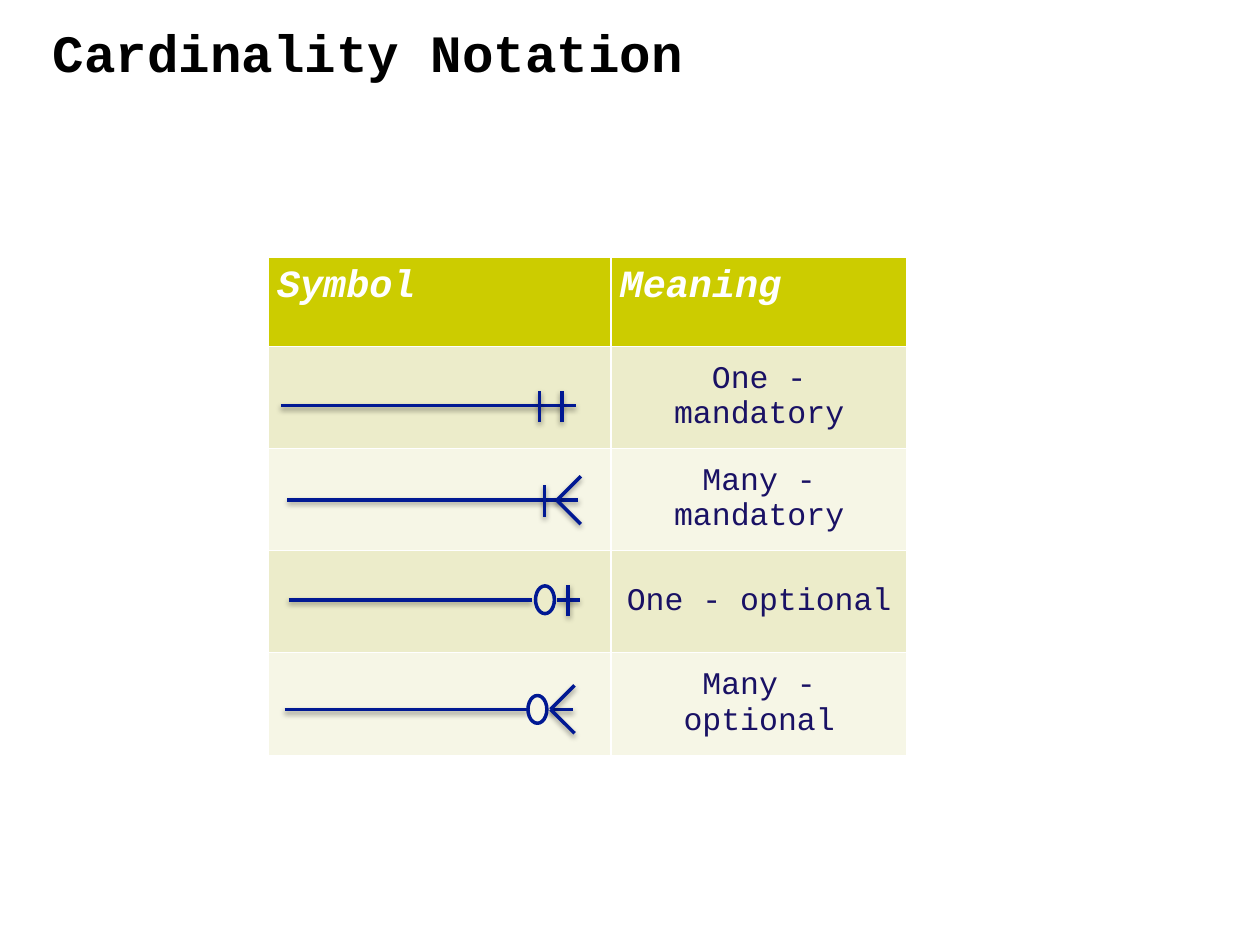
from pptx import Presentation
from pptx.dml.color import RGBColor
from pptx.enum.shapes import MSO_CONNECTOR as Link, MSO_SHAPE as Form
from pptx.enum.text import MSO_ANCHOR as Anchor, PP_ALIGN as Align
from pptx.oxml import parse_xml
from pptx.oxml.ns import nsdecls
from pptx.util import Inches, Pt

BLACK = RGBColor(0x00, 0x00, 0x00)
WHITE = RGBColor(0xFF, 0xFF, 0xFF)
NAVY = RGBColor(0x01, 0x19, 0x93)
INK = RGBColor(0x19, 0x11, 0x64)
OLIVE = RGBColor(0xCC, 0xCC, 0x00)
BANDS = RGBColor(0xEC, 0xEC, 0xCA), RGBColor(0xF6, 0xF6, 0xE6)

SHADOW = (
    f'<a:effectLst {nsdecls("a")}><a:outerShdw blurRad="38100" dist="20320" '
    'dir="5400000" rotWithShape="0"><a:srgbClr val="000000">'
    '<a:alpha val="38000"/></a:srgbClr></a:outerShdw></a:effectLst>'
)


class Board:
    face = "Courier New"
    width = Pt(2)
    pad = Inches(0.07)

    def __init__(self, deck):
        self.slide = deck.slides.add_slide(deck.slide_layouts[5])
        self.shapes = self.slide.shapes

    def style(self, para, size, color, bold=False, italic=False):
        font = para.font
        font.name, font.size = self.face, Pt(size)
        font.bold, font.italic = bold, italic
        font.color.rgb = color

    def title(self, text, x, y, w, h):
        box = self.shapes.title
        box.left, box.top = Inches(x), Inches(y)
        box.width, box.height = Inches(w), Inches(h)
        frame = box.text_frame
        frame.text = text
        frame.word_wrap = True
        frame.vertical_anchor = Anchor.TOP
        frame.margin_left = frame.margin_right = 0
        frame.margin_top = frame.margin_bottom = 0
        para = frame.paragraphs[0]
        para.alignment = Align.LEFT
        self.style(para, 30, BLACK, bold=True)

    def table(self, rows, x, y, widths, heights):
        frame = self.shapes.add_table(
            len(rows), len(widths), Inches(x), Inches(y),
            Inches(sum(widths)), Inches(sum(heights)))
        grid = frame.table
        for col, width in zip(grid.columns, widths):
            col.width = Inches(width)
        for row, height in zip(grid.rows, heights):
            row.height = Inches(height)
        for i, row in enumerate(rows):
            for j, text in enumerate(row):
                self.cell(grid.cell(i, j), text, i)

    def cell(self, cell, text, row):
        cell.margin_left = cell.margin_right = self.pad
        cell.margin_top = cell.margin_bottom = self.pad
        props = cell._tc.get_or_add_tcPr()
        for side in ("lnL", "lnR", "lnT", "lnB"):
            props.append(parse_xml(
                f'<a:{side} {nsdecls("a")} w="12700"><a:solidFill>'
                f'<a:srgbClr val="{WHITE}"/></a:solidFill></a:{side}>'))
        cell.fill.solid()
        cell.fill.fore_color.rgb = BANDS[(row - 1) % 2] if row else OLIVE
        if not text:
            return
        cell.text = text
        para = cell.text_frame.paragraphs[0]
        if row:
            cell.vertical_anchor = Anchor.MIDDLE
            para.alignment = Align.CENTER
            self.style(para, 18, INK)
        else:
            para.space_before = Pt(5)
            self.style(para, 22, WHITE, bold=True, italic=True)

    def line(self, x1, y1, x2, y2):
        line = self.shapes.add_connector(
            Link.STRAIGHT, Inches(x1), Inches(y1), Inches(x2), Inches(y2))
        line.line.color.rgb = NAVY
        line.line.width = self.width
        line._element.spPr.append(parse_xml(SHADOW))

    def bar(self, x, y):
        self.line(x, y + 0.13, x, y - 0.12)

    def fork(self, x, y):
        self.line(x, y, x + 0.19, y - 0.19)
        self.line(x + 0.19, y + 0.19, x, y)

    def ring(self, x, y):
        ring = self.shapes.add_shape(
            Form.OVAL, Inches(x), Inches(y - 0.11), Inches(0.15), Inches(0.22))
        ring.shadow.inherit = False
        ring.fill.background()
        ring.line.color.rgb = NAVY
        ring.line.width = self.width


deck = Presentation()
deck.slide_width, deck.slide_height = Inches(10), Inches(7.5)
board = Board(deck)
board.title("Cardinality Notation", 0.42, 0.16, 8.48, 0.5)
board.table(
    [("Symbol", "Meaning"), ("", "One - mandatory"), ("", "Many - mandatory"),
     ("", "One - optional"), ("", "Many - optional")],
    2.13, 2.04, (2.72, 2.35), (0.71, 0.81, 0.81, 0.81, 0.82))

symbols = [
    (3.22, [(2.23, 4.57)], [(board.bar, 4.28), (board.bar, 4.46)]),
    (3.97, [(2.28, 4.59)], [(board.bar, 4.32), (board.fork, 4.42)]),
    (4.76, [(2.29, 4.22), (4.42, 4.6)], [(board.ring, 4.25), (board.bar, 4.51)]),
    (5.63, [(2.26, 4.19), (4.37, 4.55)], [(board.ring, 4.19), (board.fork, 4.37)]),
]
for y, spans, marks in symbols:
    for start, end in spans:
        board.line(start, y, end, y)
    for mark, x in marks:
        mark(x, y)

deck.save("out.pptx")
